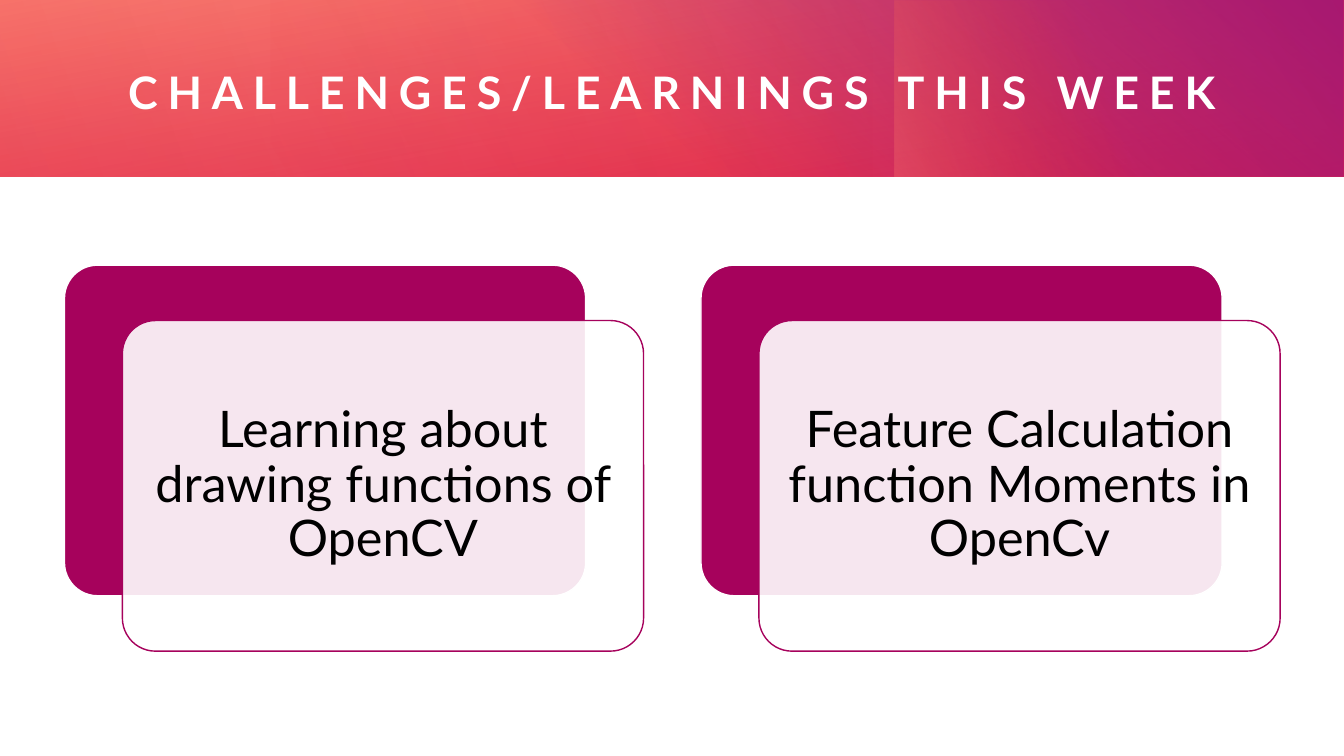
from dataclasses import dataclass

from pptx import Presentation
from pptx.dml.color import RGBColor
from pptx.enum.shapes import MSO_SHAPE
from pptx.enum.text import MSO_ANCHOR, MSO_AUTO_SIZE, PP_ALIGN
from pptx.oxml import parse_xml
from pptx.oxml.ns import nsdecls, qn
from pptx.util import Inches, Pt

RECT, ROUND = MSO_SHAPE.RECTANGLE, MSO_SHAPE.ROUNDED_RECTANGLE
MIDDLE = MSO_ANCHOR.MIDDLE
LEFT, CENTER = PP_ALIGN.LEFT, PP_ALIGN.CENTER
NO_FIT = MSO_AUTO_SIZE.NONE


@dataclass(frozen=True)
class Theme:
    font: str = "Lato"
    title_size: int = 32
    card_size: int = 36
    title_spacing: int = 7
    white: str = "FFFFFF"
    black: str = "000000"
    berry: str = "A6025C"
    red: str = "DA002F"
    coral: str = "FF907A"
    orange: str = "FE4A00"
    purple: str = "92248E"


class Deck:
    """Draws themed elements on one slide, placed in percent of its size."""

    def __init__(self, theme):
        self.theme = theme
        self.prs = Presentation()
        self.prs.slide_width, self.prs.slide_height = Inches(13.33), Inches(7.5)
        self.s = self.prs.slides.add_slide(self.prs.slide_layouts[5])

    def box(self, x, y, w, h):
        W, H = self.prs.slide_width, self.prs.slide_height
        return [int(share * size / 100) for share, size in zip((x, y, w, h), (W, H, W, H))]

    def shape(self, kind, box, color, line=None):
        sp = self.s.shapes.add_shape(kind, *self.box(*box))
        sp.shadow.inherit = False
        sp.fill.solid()
        sp.fill.fore_color.rgb = RGBColor.from_string(color)
        if line:
            sp.line.color.rgb = RGBColor.from_string(line)
            sp.line.width = Pt(1)
        else:
            sp.line.fill.background()
        return sp

    def gradient(self, box, stops, angle, rotation=0):
        sp = self.shape(RECT, box, self.theme.white)
        sp.rotation = rotation
        marks = "".join(
            f'<a:gs pos="{pos * 1000}"><a:srgbClr val="{color}">'
            f'<a:alpha val="{alpha * 1000}"/></a:srgbClr></a:gs>'
            for pos, color, alpha in stops)
        spPr = sp._element.spPr
        spPr.replace(spPr.find(qn("a:solidFill")), parse_xml(
            f'<a:gradFill {nsdecls("a")} rotWithShape="1"><a:gsLst>{marks}</a:gsLst>'
            f'<a:lin ang="{angle * 60000}" scaled="0"/></a:gradFill>'))

    def text(self, sp, words, size, color, align, inset, bold=False):
        tf = sp.text_frame
        tf.word_wrap, tf.auto_size, tf.vertical_anchor = True, NO_FIT, MIDDLE
        tf.margin_left = tf.margin_right = tf.margin_top = tf.margin_bottom = Inches(inset)
        p = tf.paragraphs[0]
        p.text, p.alignment, p.line_spacing = words, align, 0.9
        p.font.name, p.font.size, p.font.bold = self.theme.font, Pt(size), bold
        p.font.color.rgb = RGBColor.from_string(color)
        return p

    def title(self, box, words):
        t = self.theme
        sp = self.s.shapes.title
        sp.left, sp.top, sp.width, sp.height = self.box(*box)
        p = self.text(sp, words, t.title_size, t.white, LEFT, 0, bold=True)
        p.runs[0].font._element.set("spc", str(t.title_spacing * 100))
        self.s.shapes._spTree.append(sp._element)

    def card(self, x, y, w, h, words):
        t = self.theme
        dx, dy = 4.31, 7.33
        back = self.shape(ROUND, (x, y, w, h), t.berry, t.white)
        front = self.shape(ROUND, (x + dx, y + dy, w, h), t.white, t.berry)
        for sp in (back, front):
            sp.adjustments[0] = 0.1
        clr = front._element.spPr.find(qn("a:solidFill"))[0]
        clr.append(parse_xml(f'<a:alpha {nsdecls("a")} val="90000"/>'))
        self.text(front, words, t.card_size, t.black, CENTER, 0.15)


def main():
    t = Theme()
    deck = Deck(t)
    band = 23.33
    for box, stops, angle, rotation in (
        ((0, 0, 100, band), [(0, t.red, 83), (100, t.coral, 100)], 260, 0),
        ((36.08, 0, 63.92, band), [(22, t.purple, 0), (99, t.purple, 100)], 310, 0),
        ((74.04, -13.2, 13.13, 49.87), [(45, t.orange, 0), (99, t.coral, 33)], 250, 270),
        ((20.1, 0, 79.9, band), [(0, t.red, 30), (99, t.red, 0)], 330, 180),
        ((0, 0, 64.9, band), [(0, t.red, 21), (99, t.red, 0)], 340, 0),
    ):
        deck.gradient(box, stops, angle, rotation)
    deck.title((9.53, 5.47, 85.15, 14.13), "CHALLENGES/LEARNINGS THIS WEEK")
    for i, words in enumerate(("Learning about drawing functions of OpenCV",
                               "Feature Calculation function Moments in OpenCv")):
        deck.card(4.8 + 47.36 * i, 35.07, 38.78, 43.73, words)
    deck.prs.save("out.pptx")


if __name__ == "__main__":
    main()
